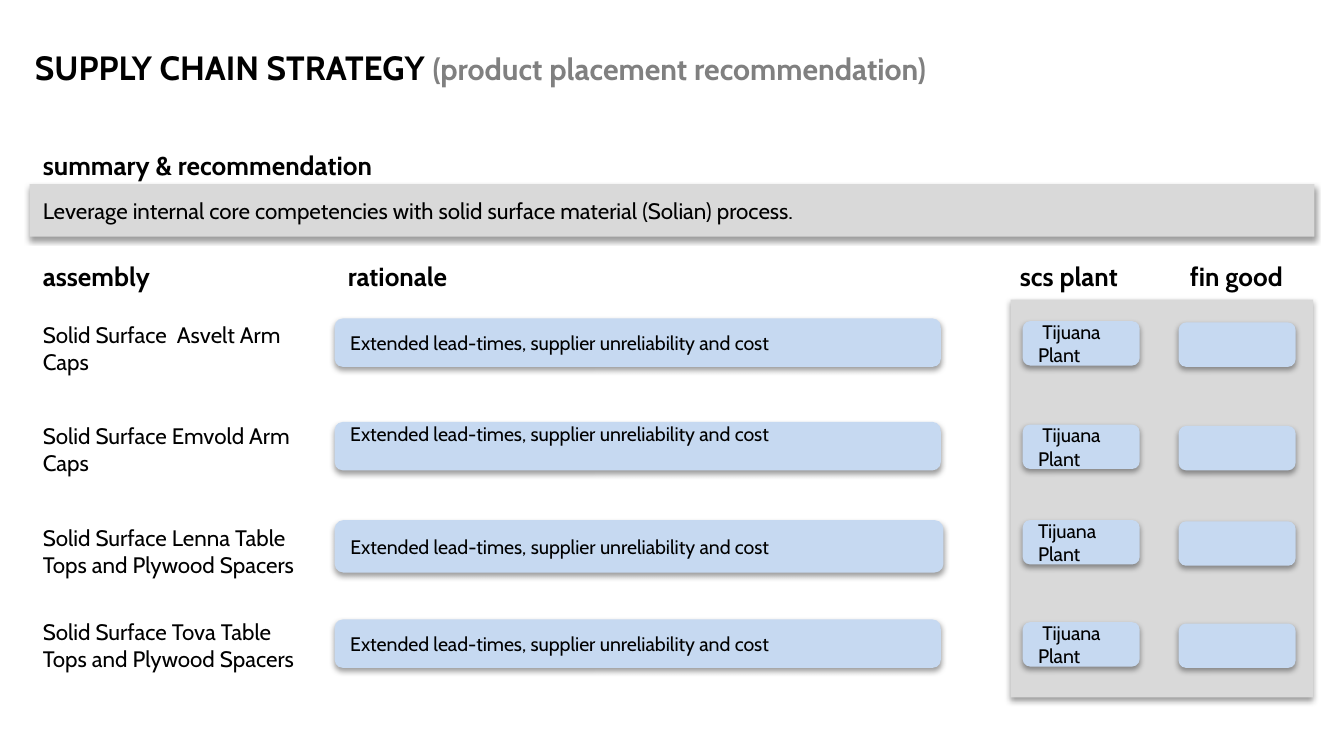
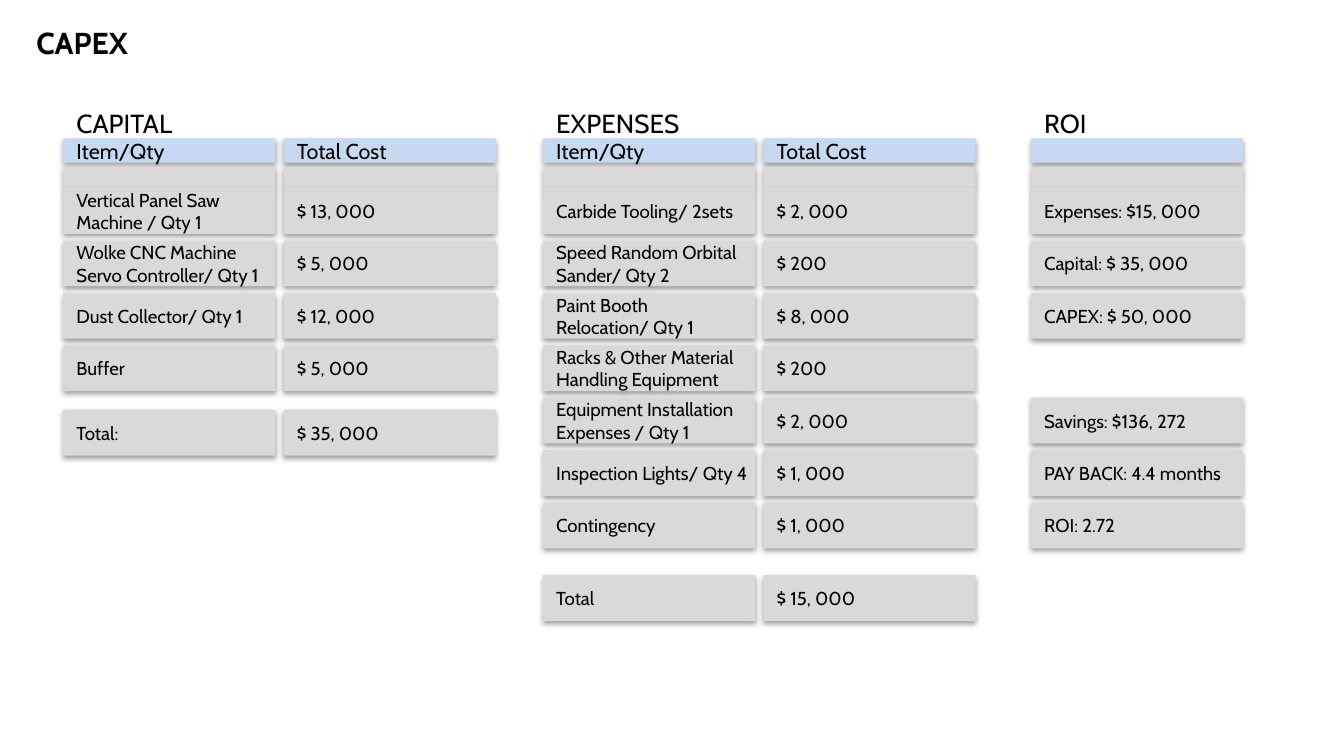
import lxml.etree
import pptx
import pptx.dml.color
import pptx.enum.shapes
import pptx.enum.text
import pptx.oxml.ns
import pptx.util

RGBColor = pptx.dml.color.RGBColor
MSO_SHAPE = pptx.enum.shapes.MSO_SHAPE
MSO_ANCHOR = pptx.enum.text.MSO_ANCHOR
PP_ALIGN = pptx.enum.text.PP_ALIGN

BLACK = RGBColor(0x00, 0x00, 0x00)
SUBTITLE_GRAY = RGBColor(0x80, 0x80, 0x80)
PANEL_GRAY = RGBColor(0xD9, 0xD9, 0xD9)
LIGHT_BLUE = RGBColor(0xC6, 0xD9, 0xF1)

FONT = "Cabin"
EMU_PER_PX = 9144
SLIDE_WIDTH = 1000
COLUMN_WIDTH = 158
ROW_TOP = 140
ROW_PITCH = 39
ROW_HEIGHT = 34

RATIONALE = "Extended lead-times, supplier unreliability and cost"
HEADINGS = [
    ("summary & recommendation", 22, 106, 369, PP_ALIGN.LEFT),
    ("assembly", 22, 189, 200, PP_ALIGN.LEFT),
    ("rationale", 249, 189, 200, PP_ALIGN.LEFT),
    ("scs plant", 749, 189, 116, PP_ALIGN.LEFT),
    ("fin good", 866, 189, 108, PP_ALIGN.CENTER),
]
# assembly, label top, rationale top, width, height, bottom margin, plant top, plant
ASSEMBLIES = [
    ("Solid Surface  Asvelt Arm Caps", 234, 237, 451, 36, 0, 239, " Tijuana Plant"),
    ("Solid Surface Emvold Arm Caps", 309, 314, 451, 36, 18, 316, " Tijuana Plant"),
    ("Solid Surface Lenna Table Tops and Plywood Spacers", 385, 387, 453, 39, 0, 387, "Tijuana Plant"),
    ("Solid Surface Tova Table Tops and Plywood Spacers", 455, 461, 451, 36, 0, 463, " Tijuana Plant"),
]

CAPITAL = [
    ("Vertical Panel Saw\nMachine / Qty 1", "$ 13, 000"),
    ("Wolke CNC Machine\nServo Controller/ Qty 1", "$ 5, 000"),
    ("Dust Collector/ Qty 1", "$ 12, 000"),
    ("Buffer", "$ 5, 000"),
]
EXPENSES = [
    ("Carbide Tooling/ 2sets", "$ 2, 000"),
    ("Speed Random Orbital\nSander/ Qty 2", "$ 200"),
    ("Paint Booth\nRelocation/ Qty 1", "$ 8, 000"),
    ("Racks & Other Material\nHandling Equipment", "$ 200"),
    ("Equipment Installation\nExpenses / Qty 1", "$ 2, 000"),
    ("Inspection Lights/ Qty 4", "$ 1, 000"),
    ("Contingency", "$ 1, 000"),
]
ROI = [
    "Expenses: $15, 000",
    "Capital: $ 35, 000",
    "CAPEX: $ 50, 000",
    None,
    "Savings: $136, 272",
    "PAY BACK: 4.4 months",
    "ROI: 2.72",
]


def px(*lengths):
    """Turn px lengths into EMU."""
    return [pptx.util.Emu(length * EMU_PER_PX) for length in lengths]


def style_font(font, size, color=BLACK, bold=False):
    """Set the shared typeface with a size, colour and weight."""
    font.name = FONT
    font.size = pptx.util.Pt(size)
    font.color.rgb = color
    font.bold = bold


def write(tf, text, size, bold=False, align=PP_ALIGN.LEFT):
    """Fill a text frame, one paragraph per line of text."""
    tf.word_wrap = True
    tf.text = text
    for p in tf.paragraphs:
        p.alignment = align
        style_font(p.font, size, bold=bold)


def center_vertically(tf, bottom=0):
    """Anchor text in the middle, raised by an optional bottom margin."""
    tf.vertical_anchor = MSO_ANCHOR.MIDDLE
    tf.margin_top, tf.margin_bottom, tf.margin_right = px(0, bottom, 0)


def add_shadow(sp):
    """Replace the theme shadow with a soft drop shadow."""
    sp.shadow.inherit = False
    effects = sp.element.spPr.find(pptx.oxml.ns.qn("a:effectLst"))
    shadow = lxml.etree.SubElement(
        effects, pptx.oxml.ns.qn("a:outerShdw"), blurRad="39370", dist="20320",
        dir="5400000", rotWithShape="0")
    color = lxml.etree.SubElement(shadow, pptx.oxml.ns.qn("a:srgbClr"), val="000000")
    lxml.etree.SubElement(color, pptx.oxml.ns.qn("a:alpha"), val="38000")


def add_box(s, box, fill, text="", size=10, kind=MSO_SHAPE.RECTANGLE, bottom=0):
    """Add a filled, shadowed box with left-aligned text."""
    sp = s.shapes.add_shape(kind, *px(*box))
    sp.fill.solid()
    sp.fill.fore_color.rgb = fill
    sp.line.fill.background()
    add_shadow(sp)
    if text:
        write(sp.text_frame, text, size)
        center_vertically(sp.text_frame, bottom)


def add_pill(s, box, text="", bottom=0):
    """Add a light blue rounded box."""
    add_box(s, box, LIGHT_BLUE, text, 10.5, MSO_SHAPE.ROUNDED_RECTANGLE, bottom)


def add_label(s, box, text, size, bold=False, align=PP_ALIGN.LEFT):
    """Add a plain text box and return its text frame."""
    tf = s.shapes.add_textbox(*px(*box)).text_frame
    write(tf, text, size, bold, align)
    return tf


def add_titled_slide(prs, left, top, runs):
    """Add a slide whose title is made of (text, size, colour) runs."""
    s = prs.slides.add_slide(prs.slide_layouts[5])
    title = s.shapes.title
    title.left, title.top, title.width, title.height = px(left, top, 850, 32)
    tf = title.text_frame
    tf.auto_size = pptx.enum.text.MSO_AUTO_SIZE.NONE
    tf.vertical_anchor = MSO_ANCHOR.TOP
    p = tf.paragraphs[0]
    p.alignment = PP_ALIGN.LEFT
    for text, size, color in runs:
        r = p.add_run()
        r.text = text
        style_font(r.font, size, color, bold=True)
    return s


def add_column(s, left, header, cells, heading="", total="", total_top=0):
    """Add a column of cost cells; None leaves a free slot."""
    if heading:
        center_vertically(add_label(s, (left, 82, COLUMN_WIDTH, 19), heading, 14))
    add_box(s, (left, 103, COLUMN_WIDTH, 18), LIGHT_BLUE, header, 11.5)
    add_box(s, (left, 124, COLUMN_WIDTH, 16), PANEL_GRAY)
    for i, text in enumerate(cells):
        if text:
            top = ROW_TOP + i * ROW_PITCH
            add_box(s, (left, top, COLUMN_WIDTH, ROW_HEIGHT), PANEL_GRAY, text)
    if total:
        add_box(s, (left, total_top, COLUMN_WIDTH, ROW_HEIGHT), PANEL_GRAY, total)


def add_cost_table(s, left, heading, rows, totals, total_top):
    """Add an item column and a cost column side by side."""
    items, costs = zip(*rows)
    add_column(s, left, "Item/Qty", items, heading, totals[0], total_top)
    add_column(s, left + 164, "Total Cost", costs, "", totals[1], total_top)


def build_strategy(prs):
    """Build the product placement slide."""
    s = add_titled_slide(prs, 16, 30, [
        ("SUPPLY CHAIN STRATEGY ", 18, BLACK),
        ("(product placement recommendation)", 16.2, SUBTITLE_GRAY),
    ])
    add_box(s, (22, 137, 956, 39), PANEL_GRAY,
            "Leverage internal core competencies with solid surface material (Solian) process.", 12)
    add_box(s, (752, 223, 225, 296), PANEL_GRAY)
    for text, left, top, width, align in HEADINGS:
        add_label(s, (left, top, width, 34), text, 14, True, align)
    for name, name_top, top, width, height, bottom, plant_top, plant in ASSEMBLIES:
        add_label(s, (22, name_top, 213, 50), name, 12)
        add_pill(s, (249, top, width, height), RATIONALE, bottom)
        add_pill(s, (761, plant_top, 87, 33), plant)
        add_pill(s, (877, plant_top + 1, 87, 33))


def build_capex(prs):
    """Build the capital expenditure slide."""
    s = add_titled_slide(prs, 17, 13, [("CAPEX", 16.2, BLACK)])
    add_cost_table(s, 47, "CAPITAL", CAPITAL, ("Total:", "$ 35, 000"), 305)
    add_cost_table(s, 404, "EXPENSES", EXPENSES, ("Total", "$ 15, 000"), 428)
    add_column(s, 767, "", ROI, "ROI")


def main():
    """Build and save the deck in 16:9."""
    prs = pptx.Presentation()
    prs.slide_width, prs.slide_height = px(SLIDE_WIDTH, SLIDE_WIDTH * 9 / 16)
    build_strategy(prs)
    build_capex(prs)
    prs.save("out.pptx")


if __name__ == "__main__":
    main()
